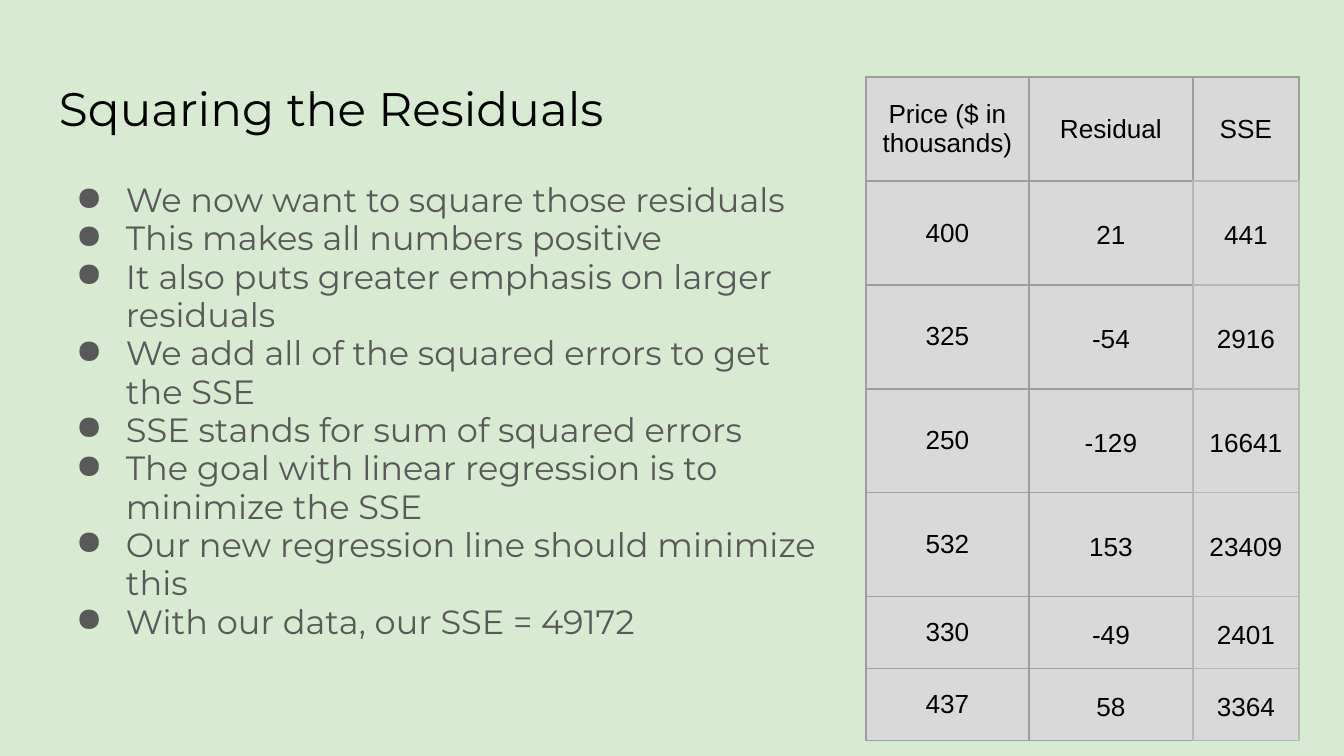
from lxml.etree import SubElement
from pptx import Presentation
from pptx.dml.color import RGBColor
from pptx.enum.text import MSO_ANCHOR, PP_ALIGN
from pptx.oxml.ns import qn
from pptx.util import Pt

PX = 914400 / 134.4

BACKGROUND = RGBColor(0xD9, 0xEA, 0xD3)
BLACK = RGBColor(0x00, 0x00, 0x00)
BODY_GRAY = RGBColor(0x59, 0x59, 0x59)
CELL_FILL = RGBColor(0xD9, 0xD9, 0xD9)
BORDER = RGBColor(0x9E, 0x9E, 0x9E)
LIGHT_BORDER = RGBColor(0xB7, 0xB7, 0xB7)

TITLE = "Squaring the Residuals"
BULLETS = [
    "We now want to square those residuals",
    "This makes all numbers positive",
    "It also puts greater emphasis on larger residuals",
    "We add all of the squared errors to get the SSE",
    "SSE stands for sum of squared errors",
    "The goal with linear regression is to minimize the SSE",
    "Our new regression line should minimize this",
    "With our data, our SSE = 49172",
]
ROWS = [
    ("Price ($ in thousands)", "Residual", "SSE"),
    (400, 21, 441),
    (325, -54, 2916),
    (250, -129, 16641),
    (532, 153, 23409),
    (330, -49, 2401),
    (437, 58, 3364),
]
COLUMN_WIDTHS = [163, 164, 106]
ROW_HEIGHTS = [104] * 5 + [72] * 2


def px(length):
    return round(length * PX)


def set_insets(target, across, down):
    target.margin_left = target.margin_right = px(across)
    target.margin_top = target.margin_bottom = px(down)


def write(paragraph, text, *, size, font, color, align=PP_ALIGN.LEFT, spacing=1.0):
    paragraph.alignment = align
    paragraph.line_spacing = spacing
    run = paragraph.add_run()
    run.text = text
    run.font.size = Pt(size)
    run.font.name = font
    run.font.color.rgb = color


def add_bullet(paragraph, color):
    properties = paragraph._p.get_or_add_pPr()
    properties.set("marL", str(px(67)))
    properties.set("indent", str(px(-50)))
    bullet_color = SubElement(properties, qn("a:buClr"))
    SubElement(bullet_color, qn("a:srgbClr"), val=str(color))
    SubElement(properties, qn("a:buChar"), char="●")


def set_borders(cell, colors):
    """Draw the cell's borders; colors are in the order left, right, top, bottom."""
    properties = cell._tc.get_or_add_tcPr()
    for side, color in zip("LRTB", colors):
        line = SubElement(properties, qn(f"a:ln{side}"), w=str(Pt(0.75)))
        fill = SubElement(line, qn("a:solidFill"))
        SubElement(fill, qn("a:srgbClr"), val=str(color))


def border_colors(row, column):
    if column == 0 or (row == 0 and column == 1):
        return [BORDER] * 4
    if row == 0:
        return [BORDER, BORDER, BORDER, LIGHT_BORDER]
    if column == 1:
        return [BORDER, LIGHT_BORDER, BORDER, BORDER]
    return [LIGHT_BORDER] * 4


def place_title(slide, left, top, width, height):
    title = slide.shapes.title
    title.left, title.top, title.width, title.height = map(px, (left, top, width, height))
    frame = title.text_frame
    frame.word_wrap = True
    frame.vertical_anchor = MSO_ANCHOR.TOP
    set_insets(frame, 13, 13)
    write(frame.paragraphs[0], TITLE, size=25.2, font="Montserrat", color=BLACK)


def add_bullet_list(slide, left, top, width, height):
    box = slide.shapes.add_textbox(*map(px, (left, top, width, height)))
    frame = box.text_frame
    frame.word_wrap = True
    set_insets(frame, 13, 13)
    for index, text in enumerate(BULLETS):
        paragraph = frame.add_paragraph() if index else frame.paragraphs[0]
        write(paragraph, text, size=18, font="Montserrat", color=BODY_GRAY, spacing=0.95)
        add_bullet(paragraph, BODY_GRAY)


def add_residual_table(slide, left, top):
    box = map(px, (left, top, sum(COLUMN_WIDTHS), sum(ROW_HEIGHTS)))
    table = slide.shapes.add_table(len(ROWS), len(COLUMN_WIDTHS), *box).table
    table.horz_banding = False
    for column, width in zip(table.columns, COLUMN_WIDTHS):
        column.width = px(width)
    for row, height in zip(table.rows, ROW_HEIGHTS):
        row.height = px(height)
    for row, values in enumerate(ROWS):
        for column, value in enumerate(values):
            cell = table.cell(row, column)
            computed = row > 0 and column > 0
            set_borders(cell, border_colors(row, column))
            cell.fill.solid()
            cell.fill.fore_color.rgb = CELL_FILL
            cell.vertical_anchor = MSO_ANCHOR.MIDDLE
            set_insets(cell, *((4, 3) if computed else (13, 13)))
            write(cell.text_frame.paragraphs[0], str(value), size=14, font="Arial",
                  color=BLACK, align=PP_ALIGN.CENTER, spacing=1.15 if computed else 1.0)


def main():
    presentation = Presentation()
    presentation.slide_width, presentation.slide_height = px(1344), px(756)
    slide = presentation.slides.add_slide(presentation.slide_layouts[5])
    background = slide.background.fill
    background.solid()
    background.fore_color.rgb = BACKGROUND
    place_title(slide, 46, 66, 1252, 84)
    add_bullet_list(slide, 46, 169, 793, 502)
    add_residual_table(slide, 866, 77)
    presentation.save("out.pptx")


if __name__ == "__main__":
    main()
